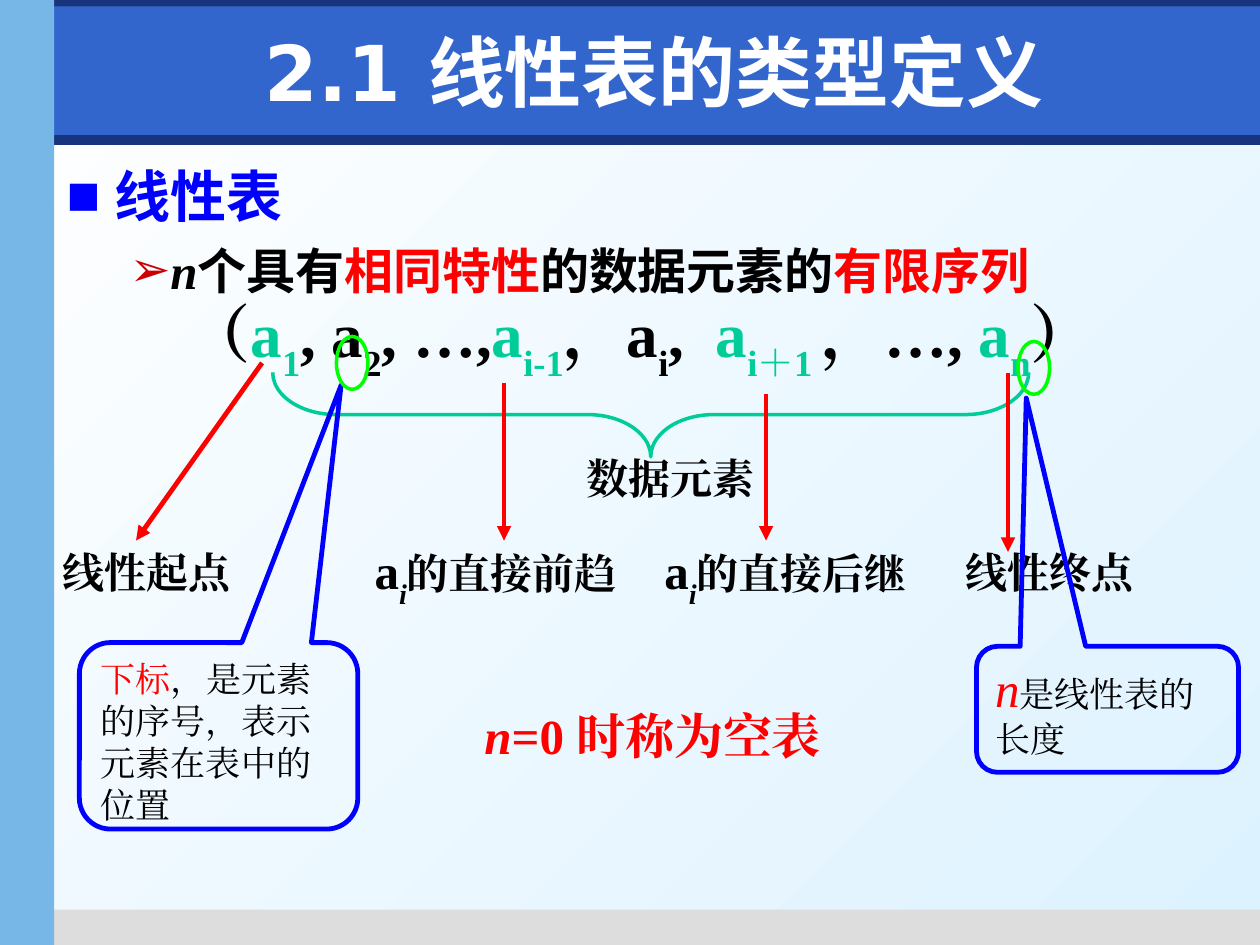
"""Build the slide that defines the linear list."""
import dataclasses
import typing

import lxml.etree
import pptx
import pptx.dml.color
import pptx.enum.dml
import pptx.enum.shapes
import pptx.enum.text
import pptx.oxml.ns
import pptx.util

SCALE = 9144
KIND = pptx.enum.shapes.MSO_SHAPE
ALIGN = pptx.enum.text.PP_ALIGN
ANCHOR = pptx.enum.text.MSO_ANCHOR


@dataclasses.dataclass(frozen=True)
class Theme:
    navy: str = "17347D"
    royal: str = "3366CC"
    sky: str = "77B7E7"
    pale: str = "DDF2FF"
    grey: str = "DDDDDD"
    white: str = "FFFFFF"
    black: str = "000000"
    red: str = "FF0000"
    dark: str = "CC0000"
    blue: str = "0000FF"
    teal: str = "00CC99"
    green: str = "00FF00"
    title: int = 44
    row: int = 36
    head: int = 32
    lead: int = 28
    label: int = 24
    note: int = 20
    thin: float = 2
    thick: float = 2.75
    serif: str = "Times New Roman"
    sans: str = "Arial"
    wide: str = "DejaVu Sans"
    han: str = "Noto Sans CJK SC"


T = Theme()


class Box(typing.NamedTuple):
    x: int
    y: int
    w: int
    h: int


class Bar(typing.NamedTuple):
    box: Box
    color: str


class Arrow(typing.NamedTuple):
    x1: int
    y1: int
    x2: int
    y2: int


@dataclasses.dataclass(frozen=True)
class Run:
    text: str
    size: int
    color: str = T.black
    bold: bool = True
    slant: bool = False
    sub: bool = False
    font: str = T.serif


class Label(typing.NamedTuple):
    box: Box
    runs: list[Run]


class Note(typing.NamedTuple):
    box: Box
    tip: tuple[float, float]
    runs: list[Run]


class Mark(typing.NamedTuple):
    sign: str
    color: str
    left: int
    hang: int


def px(*vals: int) -> list[int]:
    return [pptx.util.Emu(val * SCALE) for val in vals]


def rgb(code: str) -> pptx.dml.color.RGBColor:
    return pptx.dml.color.RGBColor.from_string(code)


def child(node: typing.Any, tag: str, **attrs: str) -> typing.Any:
    return lxml.etree.SubElement(node, pptx.oxml.ns.qn(tag), attrs)


def write(para: typing.Any, runs: list[Run]) -> None:
    for item in runs:
        run = para.add_run()
        run.text = item.text
        font = run.font
        font.size = pptx.util.Pt(item.size)
        font.bold, font.italic, font.name = item.bold, item.slant, item.font
        font.color.rgb = rgb(item.color)
        if item.sub:
            font._element.set("baseline", "-30000")
        east = T.serif if item.font == T.han else item.font
        child(font._element, "a:ea", typeface=east)


def mark(para: typing.Any, item: Mark) -> None:
    props = para._p.get_or_add_pPr()
    left, hang = px(item.left, item.hang)
    props.set("marL", str(left))
    props.set("indent", str(-hang))
    paint = child(props, "a:buClr")
    child(paint, "a:srgbClr", val=item.color)
    child(props, "a:buFont", typeface=T.sans)
    child(props, "a:buChar", char=item.sign)


def panel(slide: typing.Any, box: Box) -> typing.Any:
    frame = slide.shapes.add_textbox(*px(*box)).text_frame
    frame.word_wrap = True
    return frame


def label(slide: typing.Any, item: Label) -> typing.Any:
    frame = panel(slide, item.box)
    frame.paragraphs[0].alignment = ALIGN.CENTER
    write(frame.paragraphs[0], item.runs)
    return frame


def shape(slide: typing.Any, kind: typing.Any, box: Box, fill: str = "",
          line: str = "", width: float = T.thin) -> typing.Any:
    item = slide.shapes.add_shape(kind, *px(*box))
    item.shadow.inherit = False
    if fill:
        item.fill.solid()
        item.fill.fore_color.rgb = rgb(fill)
    else:
        item.fill.background()
    if line:
        item.line.color.rgb = rgb(line)
        item.line.width = pptx.util.Pt(width)
    else:
        item.line.fill.background()
    return item


def arrow(slide: typing.Any, item: Arrow) -> None:
    kind = pptx.enum.shapes.MSO_CONNECTOR.STRAIGHT
    line = slide.shapes.add_connector(kind, *px(*item))
    line.line.color.rgb = rgb(T.red)
    line.line.width = pptx.util.Pt(T.thick)
    child(line.line._get_or_add_ln(), "a:tailEnd", type="triangle")
    child(line._element.spPr, "a:effectLst")


def note(slide: typing.Any, item: Note) -> None:
    call = shape(slide, KIND.ROUNDED_RECTANGULAR_CALLOUT, item.box,
                 line=T.blue, width=T.thick)
    call.adjustments[0], call.adjustments[1] = item.tip
    frame = call.text_frame
    frame.word_wrap = True
    frame.vertical_anchor = ANCHOR.TOP
    frame.paragraphs[0].alignment = ALIGN.LEFT
    write(frame.paragraphs[0], item.runs)


def term(index: str, color: str = T.teal) -> list[Run]:
    return [Run("a", T.row, color), Run(index, T.row, color, sub=True)]


def plain(text: str) -> list[Run]:
    return [Run(text, T.row)]


def near(text: str) -> list[Run]:
    return [Run("a", T.lead), Run("i", T.lead, slant=True, sub=True),
            Run(text, T.label, font=T.han)]


BARS = [Bar(Box(43, 107, 957, 8), T.navy), Bar(Box(35, 722, 965, 28), T.grey),
        Bar(Box(43, 0, 957, 21), T.navy), Bar(Box(43, 5, 957, 102), T.royal),
        Bar(Box(0, 0, 43, 750), T.sky)]
ROW = [*plain("（"), *term("1"), *plain(", "), *term("2", T.black),
       *plain(", …,"), *term("i-1"), *plain("，"), *term("i", T.black),
       *plain(",  "), *term("i＋1 "), *plain("，…, "), *term("n"), *plain("）")]
LABELS = [
    Label(Box(75, 229, 867, 191), ROW),
    Label(Box(368, 555, 300, 57), [
        Run("n", T.lead, T.red, slant=True), Run("=0 ", T.lead, T.red),
        Run("时称为空表", T.lead, T.red, font=T.han)]),
    Label(Box(440, 354, 185, 50), [Run("数据元素", T.label)]),
    Label(Box(24, 429, 184, 50), [Run("线性起点", T.label)]),
    Label(Box(281, 424, 225, 65), near("的直接前趋")),
    Label(Box(506, 424, 235, 65), near("的直接后继")),
    Label(Box(741, 429, 184, 50), [Run("线性终点", T.label)])]
ARROWS = [Arrow(208, 288, 108, 429), Arrow(800, 296, 800, 438),
          Arrow(400, 304, 400, 429), Arrow(608, 313, 608, 429)]
NOTES = [
    Note(Box(775, 513, 208, 100), (-0.31, -2.47), [
        Run("n", T.lead, T.red, False, True),
        Run("是线性表的长度", T.note, bold=False, font=T.han)]),
    Note(Box(63, 510, 221, 148), (0.44, -1.88), [
        Run("下标", T.note, T.red, False),
        Run("，是元素的序号，表示元素在表中的位置", T.note, bold=False)])]
RINGS = [Box(267, 267, 25, 42), Box(808, 271, 25, 42)]
POINT = [Run("n", T.lead, slant=True)] + [
    Run(text, T.lead, color, font=T.sans) for text, color in [
        ("个具有", T.black), ("相同特性", T.red),
        ("的数据元素的", T.black), ("有限序列", T.red)]]


def ground(slide: typing.Any) -> None:
    fill = slide.background.fill
    fill.gradient()
    fill.gradient_angle = 315
    for stop, color, spot in zip(fill.gradient_stops, (T.white, T.pale), (0, 1)):
        stop.color.rgb = rgb(color)
        stop.position = spot


def body(slide: typing.Any) -> None:
    frame = panel(slide, Box(43, 123, 937, 590))
    head, point = frame.paragraphs[0], frame.add_paragraph()
    point.level = 1
    point.space_before = pptx.util.Pt(7)
    mark(head, Mark("■", T.blue, 38, 38))
    mark(point, Mark("➢", T.dark, 81, 31))
    write(head, [Run("线性表", T.head, T.blue, font=T.sans)])
    write(point, POINT)


def main() -> None:
    deck = pptx.Presentation()
    deck.slide_width, deck.slide_height = px(1000, 750)
    slide = deck.slides.add_slide(deck.slide_layouts[6])
    ground(slide)
    for bar in BARS:
        shape(slide, KIND.RECTANGLE, bar.box, bar.color)
    title = Run("2.1 线性表的类型定义", T.title, T.white, font=T.wide)
    label(slide, Label(Box(59, 13, 921, 87), [title])).vertical_anchor = ANCHOR.MIDDLE
    body(slide)
    brace = shape(slide, KIND.LEFT_BRACE, Box(483, 29, 67, 600), line=T.teal)
    brace.rotation = 270
    brace.adjustments[0] = 0.75
    for item in LABELS:
        label(slide, item)
    for item in ARROWS:
        arrow(slide, item)
    for item in NOTES:
        note(slide, item)
    for ring in RINGS:
        shape(slide, KIND.OVAL, ring, line=T.green)
    deck.save("out.pptx")


if __name__ == "__main__":
    main()
